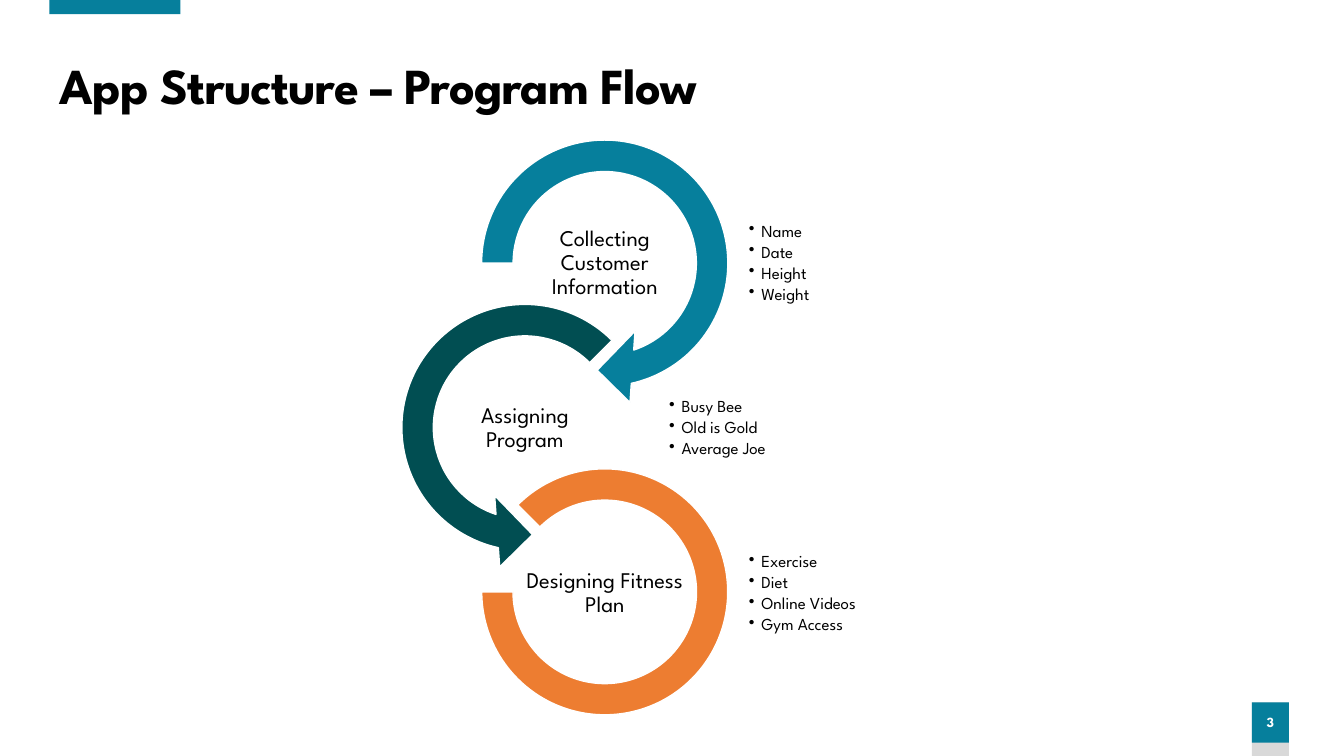
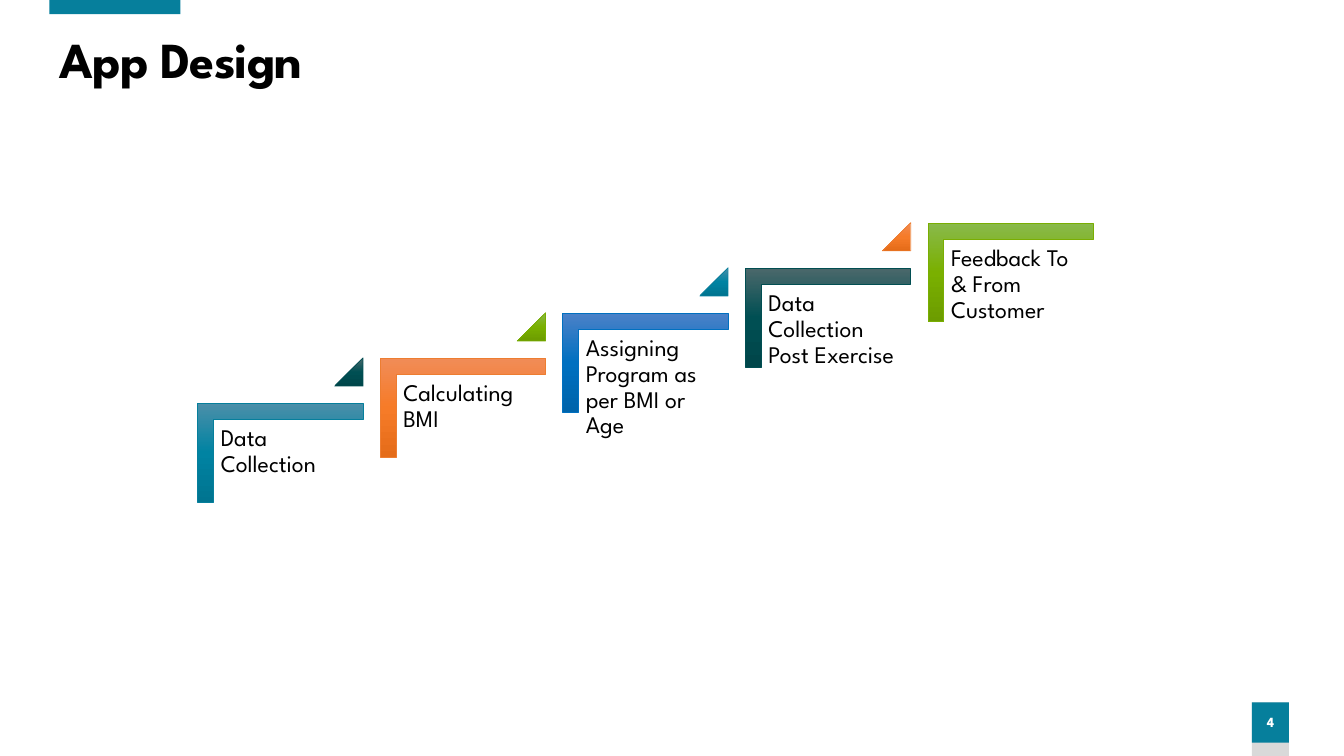
from copy import deepcopy

from pptx import Presentation
from pptx.dml.color import RGBColor
from pptx.enum import shapes, text
from pptx.oxml import ns, xmlchemy
from pptx.util import Pt

FONT = "League Spartan"
BLACK = RGBColor(0x00, 0x00, 0x00)
WHITE = RGBColor(0xFF, 0xFF, 0xFF)
GREY = RGBColor(0xD9, 0xD9, 0xD9)
TEAL = RGBColor(0x06, 0x7F, 0x9C)
DARK = RGBColor(0x01, 0x4E, 0x52)
ORANGE = RGBColor(0xED, 0x7D, 0x31)
BLUE = RGBColor(0x00, 0x70, 0xC0)
GREEN = RGBColor(0x79, 0xAE, 0x02)

# Top, middle and bottom colour of each gradient, by line colour
GRADIENTS = {
    TEAL: (RGBColor(0x4B, 0x8F, 0xA9), RGBColor(0x00, 0x83, 0xA2), RGBColor(0x00, 0x74, 0x90)),
    DARK: (RGBColor(0x4B, 0x68, 0x6B), RGBColor(0x00, 0x4F, 0x53), RGBColor(0x00, 0x46, 0x4A)),
    ORANGE: (RGBColor(0xF1, 0x8C, 0x57), RGBColor(0xF6, 0x7B, 0x28), RGBColor(0xE5, 0x6C, 0x19)),
    BLUE: (RGBColor(0x4B, 0x81, 0xC8), RGBColor(0x00, 0x70, 0xC0), RGBColor(0x00, 0x64, 0xAB)),
    GREEN: (RGBColor(0x89, 0xB9, 0x4B), RGBColor(0x7A, 0xB0, 0x00), RGBColor(0x6C, 0x9C, 0x00)),
}


def add_block(slide, kind, box, fill, line=None, line_width=1, adjustments=(), gradient=False):
    """Add a preset shape; box is left, top, width and height in points."""
    shape = slide.shapes.add_shape(kind, *(Pt(length) for length in box))
    shape.shadow.inherit = False
    for index, value in enumerate(adjustments):
        shape.adjustments[index] = value
    if gradient:
        shape.fill.gradient()
        properties = shape._element.spPr.find(ns.qn("a:gradFill"))
        properties.set("rotWithShape", "0")
        stop_list = properties.find(ns.qn("a:gsLst"))
        stop_list.append(deepcopy(stop_list[0]))
        for stop, color, position in zip(shape.fill.gradient_stops, GRADIENTS[fill], (0, 0.5, 1)):
            stop.color.rgb = color
            stop.position = position
        shape.fill.gradient_angle = 270
    else:
        shape.fill.solid()
        shape.fill.fore_color.rgb = fill
    if line is None:
        shape.line.fill.background()
    else:
        shape.line.color.rgb = line
        shape.line.width = Pt(line_width)
    return shape


def write_text(shape, words, size, color=BLACK, bold=False, margins=(0, 0),
               anchor=text.MSO_ANCHOR.MIDDLE, align=text.PP_ALIGN.LEFT):
    """Fill a shape with text; margins are horizontal and vertical in points."""
    frame = shape.text_frame
    frame.text = words
    frame.word_wrap = True
    frame.auto_size = text.MSO_AUTO_SIZE.NONE
    frame.vertical_anchor = anchor
    frame.margin_left = frame.margin_right = Pt(margins[0])
    frame.margin_top = frame.margin_bottom = Pt(margins[1])
    for paragraph in frame.paragraphs:
        paragraph.alignment = align
        paragraph.line_spacing = 0.9
        for run in paragraph.runs:
            run.font.name = FONT
            run.font.size = Pt(size)
            run.font.bold = bold
            run.font.color.rgb = color
    return frame


presentation = Presentation()
presentation.slide_width = Pt(960)
presentation.slide_height = Pt(540)

# Shared parts: top band, title and page number
slides = []
for title, title_top, number in (("App Structure – Program Flow", 39.6, "3"),
                                 ("App Design", 20.9, "4")):
    slide = presentation.slides.add_slide(presentation.slide_layouts[5])
    slides.append(slide)
    add_block(slide, shapes.MSO_SHAPE.RECTANGLE, (35.3, 0, 93.6, 10.1), TEAL)
    add_block(slide, shapes.MSO_SHAPE.RECTANGLE, (894.2, 501.8, 26.6, 38.2), GREY)
    badge = add_block(slide, shapes.MSO_SHAPE.RECTANGLE, (894.2, 501.8, 26.6, 28.8), TEAL)
    write_text(badge, number, 10, WHITE, True, (0, 3.6), align=text.PP_ALIGN.CENTER)

    heading = slide.shapes.title
    heading.left, heading.top = Pt(35.3), Pt(title_top)
    heading.width, heading.height = Pt(880), Pt(46.8)
    frame = write_text(heading, title, 36, bold=True, margins=(7.2, 3.6))
    frame.paragraphs[0].runs[0].font._element.set("spc", "-60")

flow_slide, design_slide = slides

# Program flow: linked rings with a label inside and a list beside each
RINGS = (
    (432, shapes.MSO_SHAPE.CIRCULAR_ARROW, 204.5, (0.11, 11.423, 45, 108, 0.125), TEAL,
     "Collecting Customer Information", ("Name", "Date", "Height", "Weight")),
    (375, shapes.MSO_SHAPE.LEFT_CIRCULAR_ARROW, 204.5, (0.11, 11.423, 63, 189, 0.125), DARK,
     "Assigning Program", ("Busy Bee", "Old is Gold", "Average Joe")),
    (432, shapes.MSO_SHAPE.BLOCK_ARC, 175.7, (135, 108, 0.127), ORANGE,
     "Designing Fitness Plan", ("Exercise", "Diet", "Online Videos", "Gym Access")),
)
for index, (center, kind, size, adjustments, color, label, items) in enumerate(RINGS):
    ring_middle = 188 + 117.4 * index
    text_middle = 188 + 118 * index
    add_block(flow_slide, kind, (center - size / 2, ring_middle - size / 2, size, size),
              color, WHITE, adjustments=adjustments)

    list_box = flow_slide.shapes.add_textbox(Pt(center + 102.2), Pt(text_middle - 41),
                                             Pt(122.4), Pt(82))
    frame = write_text(list_box, "\n".join(items), 12, margins=(0.7, 0.7))
    for paragraph in frame.paragraphs:
        paragraph.space_after = Pt(2)
        properties = paragraph._p.get_or_add_pPr()
        properties.set("marL", str(Pt(9)))
        properties.set("indent", str(-Pt(9)))
        bullet = xmlchemy.OxmlElement("a:buChar")
        bullet.set("char", "•")
        properties.append(bullet)

    label_box = flow_slide.shapes.add_textbox(Pt(center - 57), Pt(text_middle - 28.5),
                                              Pt(114), Pt(57))
    write_text(label_box, label, 16, margins=(0.7, 0.7), align=text.PP_ALIGN.CENTER)

# App design: rising steps, each followed by a triangle except the last
STEPS = (
    ("Data Collection", TEAL, DARK),
    ("Calculating BMI", ORANGE, GREEN),
    ("Assigning Program as per BMI or Age", BLUE, TEAL),
    ("Data Collection Post Exercise", DARK, ORANGE),
    ("Feedback To & From Customer", GREEN, None),
)
for index, (label, color, triangle_color) in enumerate(STEPS):
    left = 152.6 + 130.4 * index
    top = 255.6 - 32.2 * index
    corner = add_block(design_slide, shapes.MSO_SHAPE.CORNER,
                       (left + 12.3, top + 8.7, 70.6, 118.1), color, color, 0.5,
                       (0.161, 0.161), True)
    corner.rotation = 90

    label_box = design_slide.shapes.add_textbox(Pt(left), Pt(top + 43.9), Pt(106.6), Pt(93.6))
    write_text(label_box, label, 17, margins=(5.1, 5.1), anchor=text.MSO_ANCHOR.TOP)

    if triangle_color is not None:
        add_block(design_slide, shapes.MSO_SHAPE.ISOSCELES_TRIANGLE,
                  (left + 86.5, top, 20.2, 20.2), triangle_color, triangle_color, 0.5,
                  (1,), True)

presentation.save("out.pptx")
